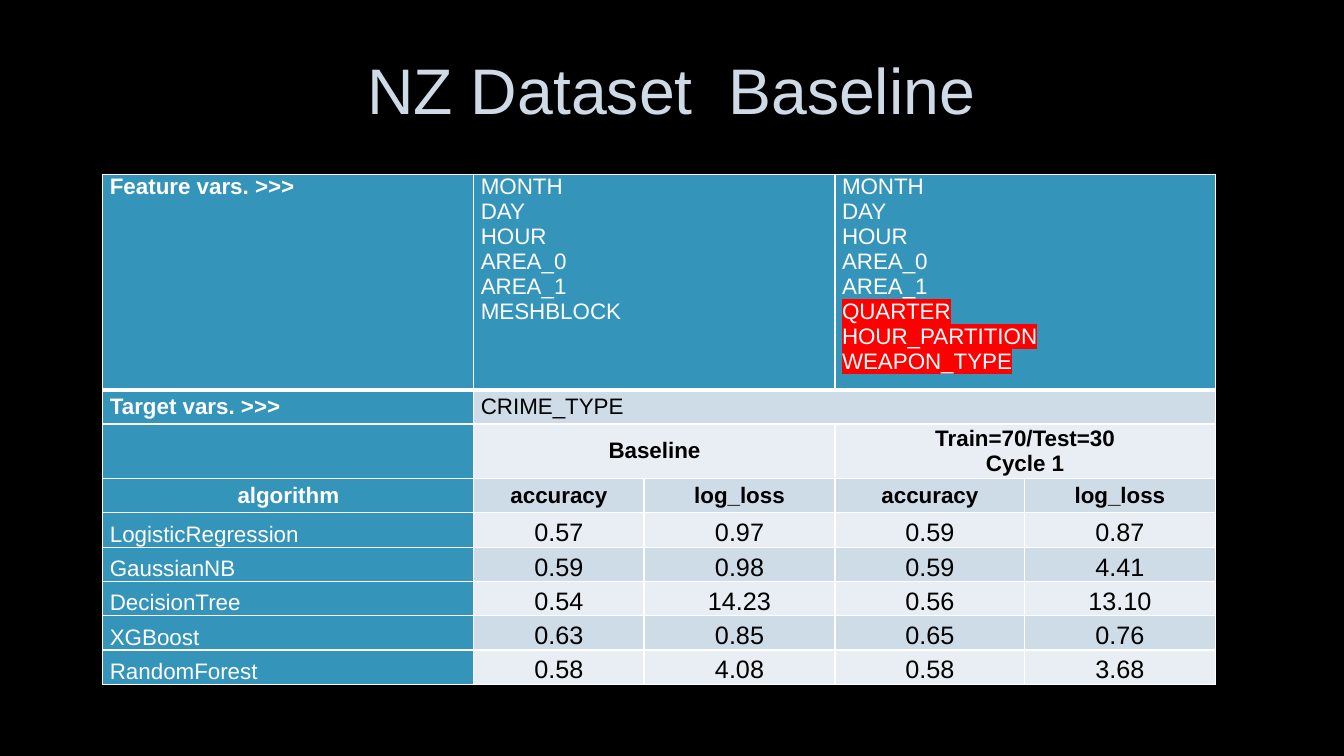
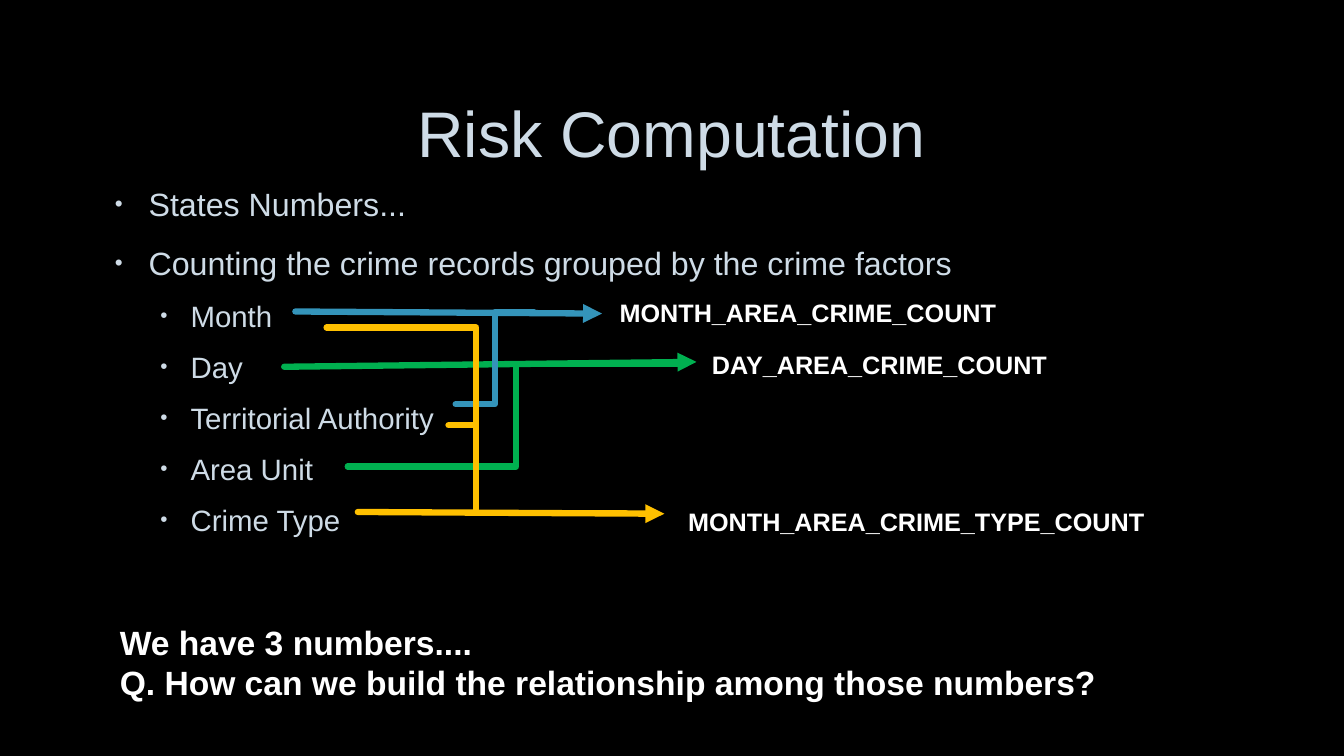
"""Build two slides: a baseline results table and a risk computation diagram."""
from dataclasses import dataclass
from typing import Optional

from lxml.etree import SubElement
from pptx import Presentation
from pptx.dml.color import RGBColor as Rgb
from pptx.enum.shapes import MSO_CONNECTOR as Connector
from pptx.enum.text import MSO_ANCHOR as Anchor, PP_ALIGN as Align
from pptx.oxml.ns import qn
from pptx.util import Pt


@dataclass(frozen=True)
class Theme:
    font: str = "Arial"
    background: str = "000000"
    heading: str = "CEDBE6"
    light: str = "FFFFFF"
    dark: str = "000000"
    accent: str = "3494BA"
    green: str = "00B050"
    amber: str = "FFC000"
    highlight: str = "FF0000"
    bands: tuple[str, str] = ("E8EEF3", "CEDCE7")
    title_size: float = 46
    closing_size: float = 24
    topic_size: float = 23
    factor_size: float = 21
    value_size: float = 18
    label_size: float = 16


THEME = Theme()


@dataclass(frozen=True)
class Bullet:
    text: str
    level: int = 0


@dataclass(frozen=True)
class BulletStyle:
    size: float
    indent: float
    hanging: float
    line_spacing: float
    before: float


@dataclass(frozen=True)
class Statement:
    text: str
    left: float
    top: float
    width: float
    height: float
    size: float = THEME.value_size


@dataclass(frozen=True)
class Flow:
    start: tuple[float, float]
    end: tuple[float, float]
    color: str
    bent: bool = False


FEATURES = ("MONTH", "DAY", "HOUR", "AREA_0", "AREA_1")
ADDED_FEATURES = ("QUARTER", "HOUR_PARTITION", "WEAPON_TYPE")
RESULTS: list[tuple[Optional[str], ...]] = [
    ("Feature vars. >>>", "\n".join(FEATURES + ("MESHBLOCK",)), None,
     "\n".join(FEATURES + ADDED_FEATURES), None),
    ("Target vars. >>>", "CRIME_TYPE", None, None, None),
    ("", "Baseline", None, "Train=70/Test=30\nCycle 1", None),
    ("algorithm", "accuracy", "log_loss", "accuracy", "log_loss"),
    ("LogisticRegression", "0.57", "0.97", "0.59", "0.87"),
    ("GaussianNB", "0.59", "0.98", "0.59", "4.41"),
    ("DecisionTree", "0.54", "14.23", "0.56", "13.10"),
    ("XGBoost", "0.63", "0.85", "0.65", "0.76"),
    ("RandomForest", "0.58", "4.08", "0.58", "3.68"),
]
COLUMN_WIDTHS = (265, 121.5, 136.5, 135.5, 136)
ROW_HEIGHTS = (152.6, 24.5, 39) + (24.5,) * 6
FIRST_ALGORITHM_ROW = 4

BULLETS = [
    Bullet("States Numbers..."),
    Bullet("Counting the crime records grouped by the crime factors"),
    Bullet("Month", 1),
    Bullet("Day", 1),
    Bullet("Territorial Authority", 1),
    Bullet("Area Unit", 1),
    Bullet("Crime Type", 1),
]
BULLET_STYLES = (
    BulletStyle(THEME.topic_size, 27, 24, 1.1, 5.6),
    BulletStyle(THEME.factor_size, 57, 21.6, 1.0, 5.3),
)
STATEMENTS = [
    Statement("MONTH_AREA_CRIME_COUNT", 435.6, 209, 308, 29),
    Statement("DAY_AREA_CRIME_COUNT", 501.5, 246.2, 308, 29),
    Statement("MONTH_AREA_CRIME_TYPE_COUNT", 484.5, 358, 365, 29),
    Statement("We have 3 numbers....\n"
              "Q. How can we build the relationship among those numbers?",
              78.5, 440.6, 872, 65.5, THEME.closing_size),
]
FLOWS = [
    Flow((211, 222.5), (430, 224), THEME.accent),
    Flow((203, 262), (497.5, 258.5), THEME.green),
    Flow((325.5, 288.7), (381.5, 223.2), THEME.accent, bent=True),
    Flow((248.4, 333.3), (489, 260), THEME.green, bent=True),
    Flow((255.6, 365.7), (474.5, 367), THEME.amber),
    Flow((233.3, 234), (447, 366.5), THEME.amber, bent=True),
    Flow((320.4, 303.8), (359.3, 366.5), THEME.amber, bent=True),
]


def set_font(paragraph, size: float, color: str, bold: bool = False) -> None:
    """Give a paragraph its font."""
    font = paragraph.font
    font.name, font.size, font.bold = THEME.font, Pt(size), bold
    font.color.rgb = Rgb.from_string(color)


def add_text_frame(slide, left: float, top: float, width: float, height: float):
    """Add a wrapping text box and return its frame."""
    frame = slide.shapes.add_textbox(Pt(left), Pt(top), Pt(width), Pt(height)).text_frame
    frame.word_wrap = True
    return frame


def add_titled_slide(deck, title: str, top: float):
    """Add a dark blank slide with a centred title."""
    slide = deck.slides.add_slide(deck.slide_layouts[6])
    slide.background.fill.solid()
    slide.background.fill.fore_color.rgb = Rgb.from_string(THEME.background)
    frame = add_text_frame(slide, 72, top, 815, 99.4)
    frame.vertical_anchor = Anchor.MIDDLE
    frame.text = title
    heading = frame.paragraphs[0]
    heading.alignment, heading.line_spacing = Align.CENTER, 0.9
    set_font(heading, THEME.title_size, THEME.heading)
    return slide


def add_solid_fill(parent, color: str) -> None:
    """Append a solid fill element."""
    SubElement(SubElement(parent, qn("a:solidFill")), qn("a:srgbClr"), val=color)


def set_borders(cell, row: int) -> None:
    """Draw white cell borders, heavier below the first row."""
    properties = cell._tc.get_or_add_tcPr()
    heavy_side = {0: "B", 1: "T"}.get(row)
    for side in "LRTB":
        width = Pt(3 if side == heavy_side else 1)
        add_solid_fill(SubElement(properties, qn(f"a:ln{side}"), w=str(width)), THEME.light)


def highlight_run(run) -> None:
    """Mark a run with the highlight colour."""
    mark = SubElement(run._r.get_or_add_rPr(), qn("a:highlight"))
    SubElement(mark, qn("a:srgbClr"), val=THEME.highlight)


def fill_result_cell(cell, row: int, column: int, text: Optional[str]) -> None:
    """Style one table cell by its place and write its text."""
    is_header = row == 0 or column == 0
    is_algorithm = row >= FIRST_ALGORITHM_ROW
    is_value = is_algorithm and column > 0
    set_borders(cell, row)
    cell.fill.solid()
    cell.fill.fore_color.rgb = Rgb.from_string(THEME.accent if is_header else THEME.bands[row % 2])
    cell.margin_left = cell.margin_right = Pt(5)
    cell.margin_top = cell.margin_bottom = Pt(0)
    cell.vertical_anchor = Anchor.BOTTOM if is_algorithm else Anchor.MIDDLE if row else Anchor.TOP
    if not text:
        return
    cell.text_frame.text = text
    centred = is_value or row == 3 or (row == 2 and column > 0)
    bold = not is_algorithm and (column == 0 or row >= 2)
    for paragraph in cell.text_frame.paragraphs:
        paragraph.alignment = Align.CENTER if centred else Align.LEFT
        set_font(paragraph, THEME.value_size if is_value else THEME.label_size,
                 THEME.light if is_header else THEME.dark, bold)
        if paragraph.text in ADDED_FEATURES:
            highlight_run(paragraph.runs[0])


def add_results_table(slide) -> None:
    """Add the table of features and scores."""
    table = slide.shapes.add_table(
        len(RESULTS), len(COLUMN_WIDTHS), Pt(73.5), Pt(124.8),
        Pt(sum(COLUMN_WIDTHS)), Pt(sum(ROW_HEIGHTS))).table
    table.first_row = table.horz_banding = False
    for column, width in zip(table.columns, COLUMN_WIDTHS):
        column.width = Pt(width)
    for row, height in zip(table.rows, ROW_HEIGHTS):
        row.height = Pt(height)
    for row, texts in enumerate(RESULTS):
        for column, text in enumerate(texts):
            fill_result_cell(table.cell(row, column), row, column, text)
        starts = [column for column, text in enumerate(texts) if text is not None]
        for start, following in zip(starts, starts[1:] + [len(texts)]):
            if following - start > 1:
                table.cell(row, start).merge(table.cell(row, following - 1))


def add_bullets(slide) -> None:
    """Add the two-level list of crime factors."""
    frame = add_text_frame(slide, 72, 125.6, 815, 288)
    frame.text = "\n".join(bullet.text for bullet in BULLETS)
    for index, (paragraph, bullet) in enumerate(zip(frame.paragraphs, BULLETS)):
        style = BULLET_STYLES[bullet.level]
        paragraph.level = bullet.level
        properties = paragraph._p.get_or_add_pPr()
        properties.set("marL", str(Pt(style.indent)))
        properties.set("indent", str(Pt(-style.hanging)))
        SubElement(SubElement(properties, qn("a:buClr")), qn("a:srgbClr"), val=THEME.heading)
        SubElement(properties, qn("a:buSzPct"), val="70000")
        SubElement(properties, qn("a:buFont"), typeface=THEME.font)
        SubElement(properties, qn("a:buChar"), char="•")
        paragraph.line_spacing = style.line_spacing
        paragraph.space_before = Pt(style.before if index else 0)
        paragraph.space_after = Pt(6)
        set_font(paragraph, style.size, THEME.heading)


def add_statement(slide, statement: Statement) -> None:
    """Add bold light text."""
    frame = add_text_frame(slide, statement.left, statement.top, statement.width, statement.height)
    frame.text = statement.text
    for paragraph in frame.paragraphs:
        set_font(paragraph, statement.size, THEME.light, bold=True)


def add_flow(slide, flow: Flow) -> None:
    """Add a straight arrow or a bent joining line."""
    kind = Connector.ELBOW if flow.bent else Connector.STRAIGHT
    connector = slide.shapes.add_connector(kind, *map(Pt, flow.start + flow.end))
    connector.line.width = Pt(4.5)
    connector.line.color.rgb = Rgb.from_string(flow.color)
    properties = connector.element.spPr
    outline = properties.find(qn("a:ln"))
    outline.set("cap", "rnd")
    SubElement(outline, qn("a:round"))
    if not flow.bent:
        SubElement(outline, qn("a:tailEnd"), type="triangle")
    SubElement(properties, qn("a:effectLst"))


def main() -> None:
    """Build and save the presentation."""
    deck = Presentation()
    deck.slide_width, deck.slide_height = Pt(960), Pt(540)
    add_results_table(add_titled_slide(deck, "NZ Dataset  Baseline", 17))
    risk = add_titled_slide(deck, "Risk Computation", 48)
    add_bullets(risk)
    for flow in FLOWS:
        add_flow(risk, flow)
    for statement in STATEMENTS:
        add_statement(risk, statement)
    deck.save("out.pptx")


if __name__ == "__main__":
    main()
